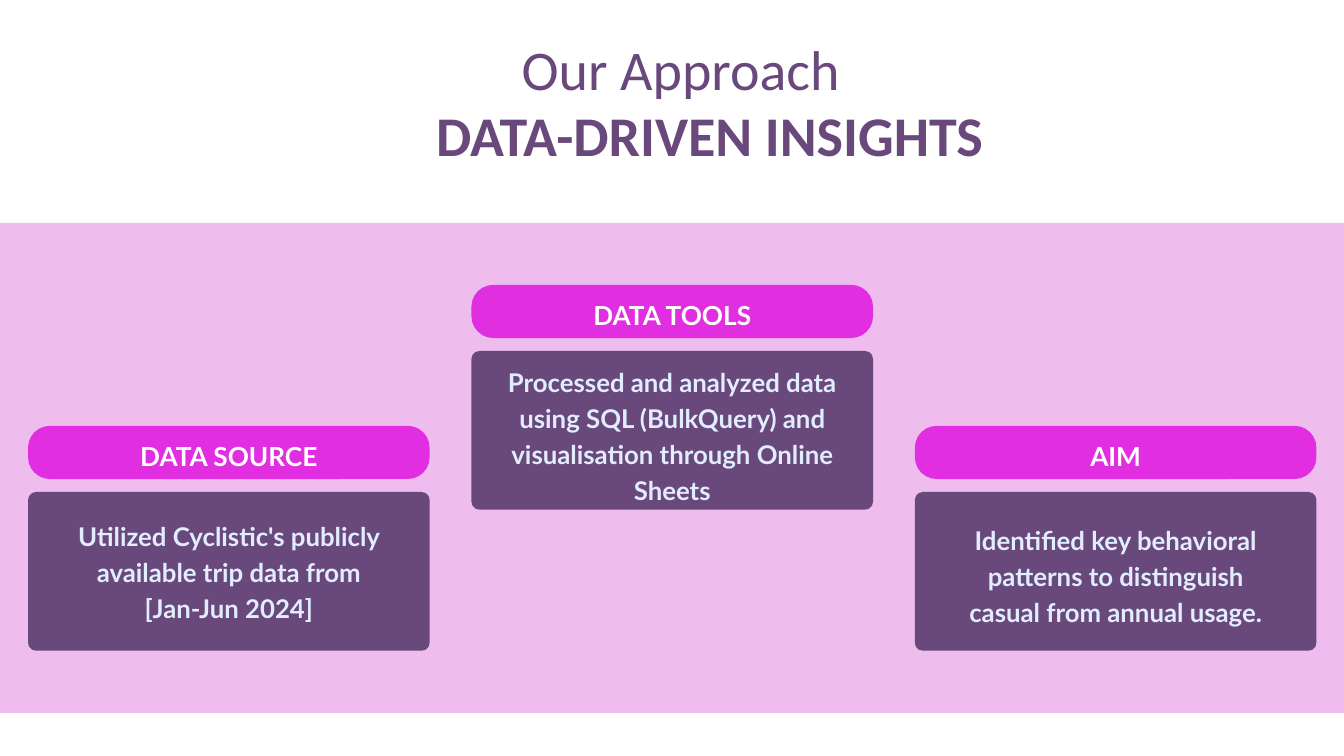
from pptx import Presentation
from pptx.dml.color import RGBColor
from pptx.enum.shapes import MSO_SHAPE
from pptx.enum.text import MSO_ANCHOR, MSO_AUTO_SIZE, PP_ALIGN
from pptx.util import Cm, Pt

PURPLE, MAGENTA, PINK = "69497C", "E02EE0", "EEBDEE"
HEADING = dict(name="Calibri", size=Pt(60), bold=False)
STRONG_HEADING = dict(HEADING, bold=True)
LABEL = dict(name="Lato", size=Pt(28.1), bold=True)
DETAIL = dict(name="Lato", size=Pt(27.6), bold=True)

CARD_LEFT, CARD_WIDTH, CARD_PITCH = 1.06, 15.18, 16.76
LABEL_HEIGHT, DETAIL_OFFSET, DETAIL_HEIGHT = 2.01, 2.5, 6

CARDS = [
    dict(top=16.1, label="DATA SOURCE", text_box=(3.4, 12.6, 4.01),
         lines=["Utilized Cyclistic's publicly available trip data from", "[Jan-Jun 2024]"]),
    dict(top=10.77, label="DATA TOOLS", text_box=(2.9, 13.82, 6.71),
         lines=["Processed and analyzed data using SQL (BulkQuery) and "
                "visualisation through Online Sheets"]),
    dict(top=16.1, label="AIM", text_box=(3.53, 12.24, 4.01),
         lines=["Identified key behavioral patterns to distinguish "
                "casual from annual usage."]),
]


def color(value):
    return RGBColor.from_string(value)


def set_attributes(target, values):
    for name, value in values.items():
        setattr(target, name, value)


def place(left, top, width, height):
    return dict(left=Cm(left), top=Cm(top), width=Cm(width), height=Cm(height))


def add_panel(page, box, kind, fill, radius=None):
    panel = page.shapes.add_shape(kind, **box)
    panel.shadow.inherit = False
    panel.fill.solid()
    panel.fill.fore_color.rgb = color(fill)
    panel.line.fill.background()
    if radius is not None:
        panel.adjustments[0] = radius


def write(shape, lines, style, fill, spacing):
    frame = shape.text_frame
    set_attributes(frame, dict(
        word_wrap=True, auto_size=MSO_AUTO_SIZE.NONE, vertical_anchor=MSO_ANCHOR.TOP,
        margin_left=0, margin_right=0, margin_top=0, margin_bottom=0))
    for index, line in enumerate(lines):
        para = frame.add_paragraph() if index else frame.paragraphs[0]
        set_attributes(para, dict(alignment=PP_ALIGN.CENTER, line_spacing=Pt(spacing),
                                  space_before=Pt(0)))
        span = para.add_run()
        span.text = line
        set_attributes(span.font, style)
        span.font.color.rgb = color(fill)


def add_heading(page, left, top):
    title = page.shapes.title
    set_attributes(title, place(left, top, 24.77, 3))
    write(title, ["Our Approach"], HEADING, PURPLE, 76.2)
    subtitle = page.shapes.add_textbox(**place(left, top + 2.51, 26.97, 3))
    write(subtitle, ["DATA-DRIVEN INSIGHTS"], STRONG_HEADING, PURPLE, 76.2)


def add_card(page, left, top, width, label, lines, text_box):
    rounded = MSO_SHAPE.ROUNDED_RECTANGLE
    add_panel(page, place(left, top, width, LABEL_HEIGHT), rounded, MAGENTA, 0.41)
    add_panel(page, place(left, top + DETAIL_OFFSET, width, DETAIL_HEIGHT),
              rounded, PURPLE, 0.05)

    def add_text(offset, text_width, height, *style):
        inset = (width - text_width) / 2
        box = page.shapes.add_textbox(**place(left + inset, top + offset, text_width, height))
        write(box, *style)

    add_text(0.33, 13, 1.32, [label], LABEL, "FFFFFF", 39.3)
    add_text(*text_box, lines, DETAIL, "E1EDFC", 38.6)


def main():
    deck = Presentation()
    set_attributes(deck, dict(slide_width=Cm(50.8), slide_height=Cm(28.58)))
    page = deck.slides.add_slide(deck.slide_layouts[5])
    add_panel(page, place(-3.33, 8.43, 57.48, 18.52), MSO_SHAPE.RECTANGLE, PINK)
    add_heading(page, 13.34, 1.14)
    for index, card in enumerate(CARDS):
        add_card(page, CARD_LEFT + index * CARD_PITCH, width=CARD_WIDTH, **card)
    deck.save("out.pptx")


if __name__ == "__main__":
    main()
